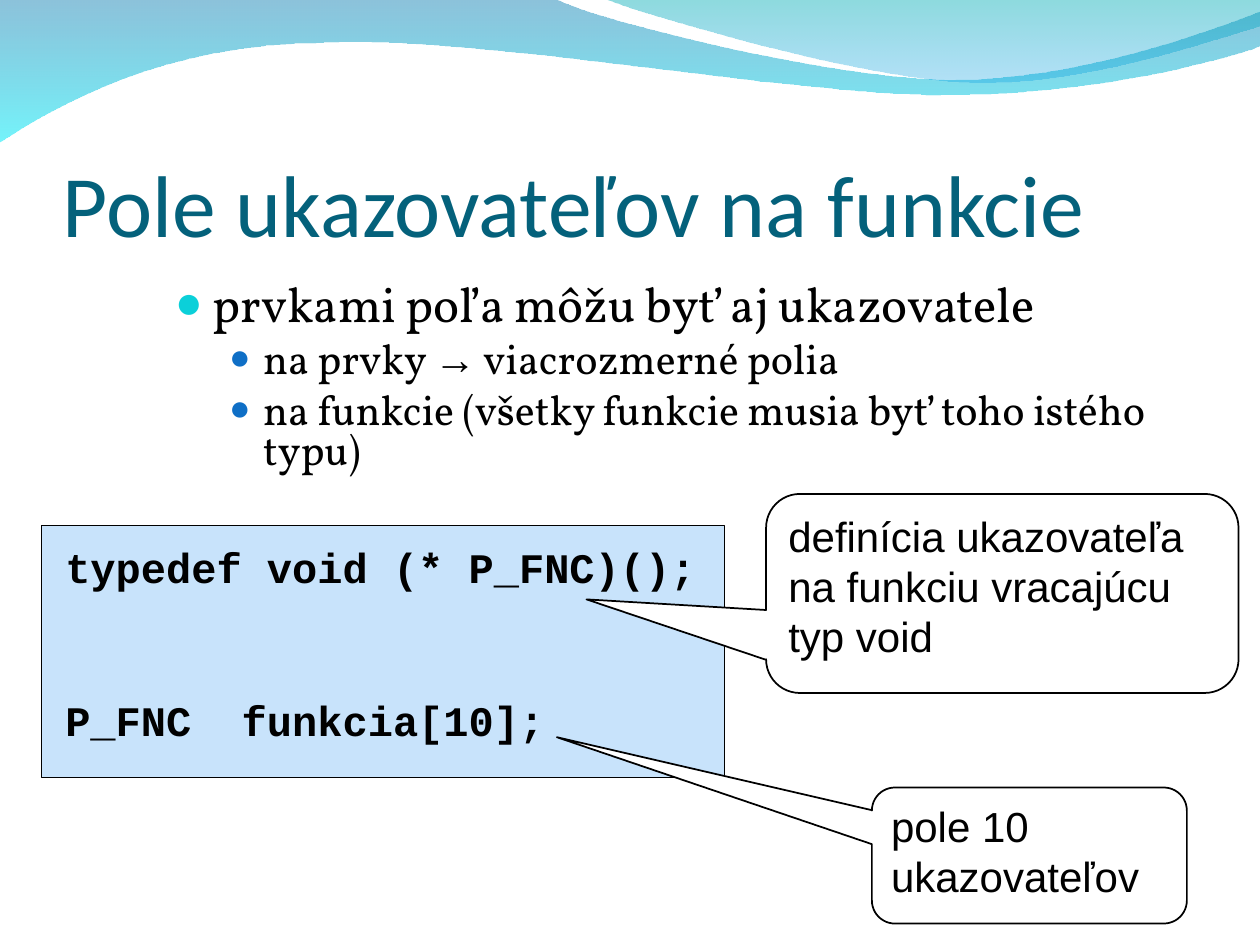
import pptx
import pptx.dml.color
import pptx.enum.shapes
import pptx.enum.text
import pptx.oxml
import pptx.oxml.ns
import pptx.util
from lxml import etree

INCH = pptx.util.Inches
KIND = pptx.enum.shapes.MSO_SHAPE
ANCHOR = pptx.enum.text.MSO_ANCHOR
WIDTH, HEIGHT = 10, 7.5

# Each wave: start point, then steps of one point (line) or three (curve);
# gradient stops run from top to bottom as (colour, opacity in percent).
WAVES = [
    {"start": (0, -0.01),
     "steps": [[(4.4, -0.01)],
               [(4.76, 0.17), (6.64, 0.63), (7.58, 0.63)],
               [(8.53, 0.63), (9.58, 0.26), (10, 0.09)],
               [(10.01, 0.36)],
               [(9.83, 0.44), (8.7, 0.76), (7.46, 0.75)],
               [(6.22, 0.75), (3.82, 0.28), (2.57, 0.34)],
               [(1.29, 0.35), (0.46, 0.83), (-0.01, 1.13)],
               [(0, -0.01)]],
     "stops": [("0079AF", 45), ("00EBF8", 55)]},
    {"start": (4.79, -0.01),
     "steps": [[(5.09, 0.11), (6.82, 0.62), (7.69, 0.65)],
               [(8.56, 0.69), (9.61, 0.32), (10, 0.21)],
               [(10, 0)],
               [(4.79, -0.01)]],
     "stops": [("00ADB6", 45), ("009BE5", 30)]},
]

TITLE = "Pole ukazovateľov na funkcie"
TITLE_FONT = {"name": "Calibri", "size": 50, "color": "04617B"}
BODY_FONT, SYMBOL_FONT, ARROW = "Vollkorn", "Arial", "→"
BULLETS = [
    (0, "prvkami poľa môžu byť aj ukazovatele"),
    (1, "na prvky → viacrozmerné polia"),
    (1, "na funkcie (všetky funkcie musia byť toho istého typu)"),
]
LEVELS = [
    {"size": 28, "left": 0.3, "hang": 0.3, "before": 7, "color": "0BD0D9", "percent": 95},
    {"size": 24, "left": 0.7, "hang": 0.27, "before": 6, "color": "0F6FC6", "percent": 85},
]

CODE = ["typedef void (* P_FNC)();", "P_FNC  funkcia[10];"]
CODE_FONT = {"name": "Courier New", "size": 24, "bold": True, "color": "000000"}
CODE_GAP = 58.5
NOTE_FONT = {"name": "Arial", "size": 24, "color": "000000"}
CALLOUTS = [
    {"box": (6.08, 3.92, 3.75, 1.58), "tip": (-0.88, 0.03),
     "lines": ["definícia ukazovateľa", "na funkciu vracajúcu", "typ void"]},
    {"box": (6.92, 6.25, 2.5, 1.08), "tip": (-1.5, -0.87),
     "lines": ["pole 10 ukazovateľov"]},
]


def rgb(code):
    return pptx.dml.color.RGBColor.from_string(code)


def set_font(font, style):
    for key, value in style.items():
        if key == "color":
            font.color.rgb = rgb(value)
        else:
            setattr(font, key, pptx.util.Pt(value) if key == "size" else value)


def set_frame(shape, insets=(0.1, 0.05, 0.1, 0.05), anchor=ANCHOR.TOP):
    frame = shape.text_frame
    sides = ("margin_left", "margin_top", "margin_right", "margin_bottom")
    values = dict(zip(sides, map(INCH, insets)), word_wrap=True, vertical_anchor=anchor)
    for key, value in values.items():
        setattr(frame, key, value)
    return frame


def write_lines(frame, lines, style, gap=0):
    for index, line in enumerate(lines):
        para = frame.add_paragraph() if index else frame.paragraphs[0]
        para.alignment = pptx.enum.text.PP_ALIGN.LEFT
        if index and gap:
            para.space_before = pptx.util.Pt(gap)
        span = para.add_run()
        span.text = line
        set_font(span.font, style)


def add_text(page, box):
    return page.shapes.add_textbox(*map(INCH, box))


def add_panel(page, kind, box, fill, weight):
    panel = page.shapes.add_shape(kind, *map(INCH, box))
    panel.shadow.inherit = False
    panel.fill.solid()
    panel.fill.fore_color.rgb = rgb(fill)
    panel.line.color.rgb = rgb("000000")
    panel.line.width = pptx.util.Pt(weight)
    return panel


def bend(shape, steps):
    """Turn each three-point step of a straight outline into one Bezier curve."""
    qn = pptx.oxml.ns.qn
    lines = iter(list(shape._element.iter(qn("a:lnTo"))))
    for step in steps:
        group = [next(lines) for point in step]
        if len(step) == 3:
            curve = etree.Element(qn("a:cubicBezTo"))
            group[0].addprevious(curve)
            for line in group:
                curve.append(line[0])
                line.getparent().remove(line)


def add_wave(page, wave):
    start, *points = [tuple(map(INCH, point))
                      for step in ([wave["start"]], *wave["steps"]) for point in step]
    builder = page.shapes.build_freeform(*start)
    builder.add_line_segments(points, close=True)
    shape = builder.convert_to_shape()
    bend(shape, wave["steps"])
    shape.shadow.inherit = False
    shape.line.fill.background()
    shape.fill.gradient()
    shape.fill.gradient_angle = 270
    for stop, (color, opacity) in zip(shape.fill.gradient_stops, wave["stops"]):
        stop.color.rgb = rgb(color)
    qn = pptx.oxml.ns.qn
    gradient = next(shape._element.iter(qn("a:gradFill")))
    for element, (color, opacity) in zip(gradient.iter(qn("a:srgbClr")), wave["stops"]):
        etree.SubElement(element, qn("a:alpha"), val=str(opacity * 1000))


def add_bullet(para, level):
    props = para._p.get_or_add_pPr()
    props.set("marL", str(INCH(level["left"])))
    props.set("indent", str(-INCH(level["hang"])))
    qn = pptx.oxml.ns.qn
    color = etree.SubElement(props, qn("a:buClr"))
    etree.SubElement(color, qn("a:srgbClr"), val=level["color"])
    etree.SubElement(props, qn("a:buSzPct"), val=str(level["percent"] * 1000))
    etree.SubElement(props, qn("a:buFont"), typeface=SYMBOL_FONT)
    etree.SubElement(props, qn("a:buChar"), char="●")


def write_bullets(frame):
    for index, (depth, text) in enumerate(BULLETS):
        level = LEVELS[depth]
        para = frame.add_paragraph() if index else frame.paragraphs[0]
        para.level = depth
        add_bullet(para, level)
        para.line_spacing = 0.8
        if index:
            para.space_before = pptx.util.Pt(level["before"])
        for part in filter(None, text.partition(ARROW)):
            span = para.add_run()
            span.text = part
            name = SYMBOL_FONT if part == ARROW else BODY_FONT
            set_font(span.font, {"name": name, "size": level["size"], "color": "000000"})


def main():
    deck = pptx.Presentation()
    deck.slide_width, deck.slide_height = INCH(WIDTH), INCH(HEIGHT)
    page = deck.slides.add_slide(deck.slide_layouts[6])

    for wave in WAVES:
        add_wave(page, wave)

    title = add_text(page, (0.5, 0.77, 9, 1.25))
    write_lines(set_frame(title, (0, 0.05, 0, 0), ANCHOR.BOTTOM), [TITLE], TITLE_FONT)
    write_bullets(set_frame(add_text(page, (1.29, 2.21, 8.5, 1.66))))

    add_panel(page, KIND.RECTANGLE, (0.33, 4.17, 5.42, 2), "C8E3FB", 0.75)
    code = add_text(page, (0.42, 4.25, 5.33, 1.7))
    write_lines(set_frame(code), CODE, CODE_FONT, CODE_GAP)

    for note in CALLOUTS:
        callout = add_panel(page, KIND.ROUNDED_RECTANGULAR_CALLOUT, note["box"], "FFFFFF", 1)
        for index, value in enumerate((*note["tip"], 0.17)):
            callout.adjustments[index] = value
        write_lines(set_frame(callout), note["lines"], NOTE_FONT)

    deck.save("out.pptx")


if __name__ == "__main__":
    main()
